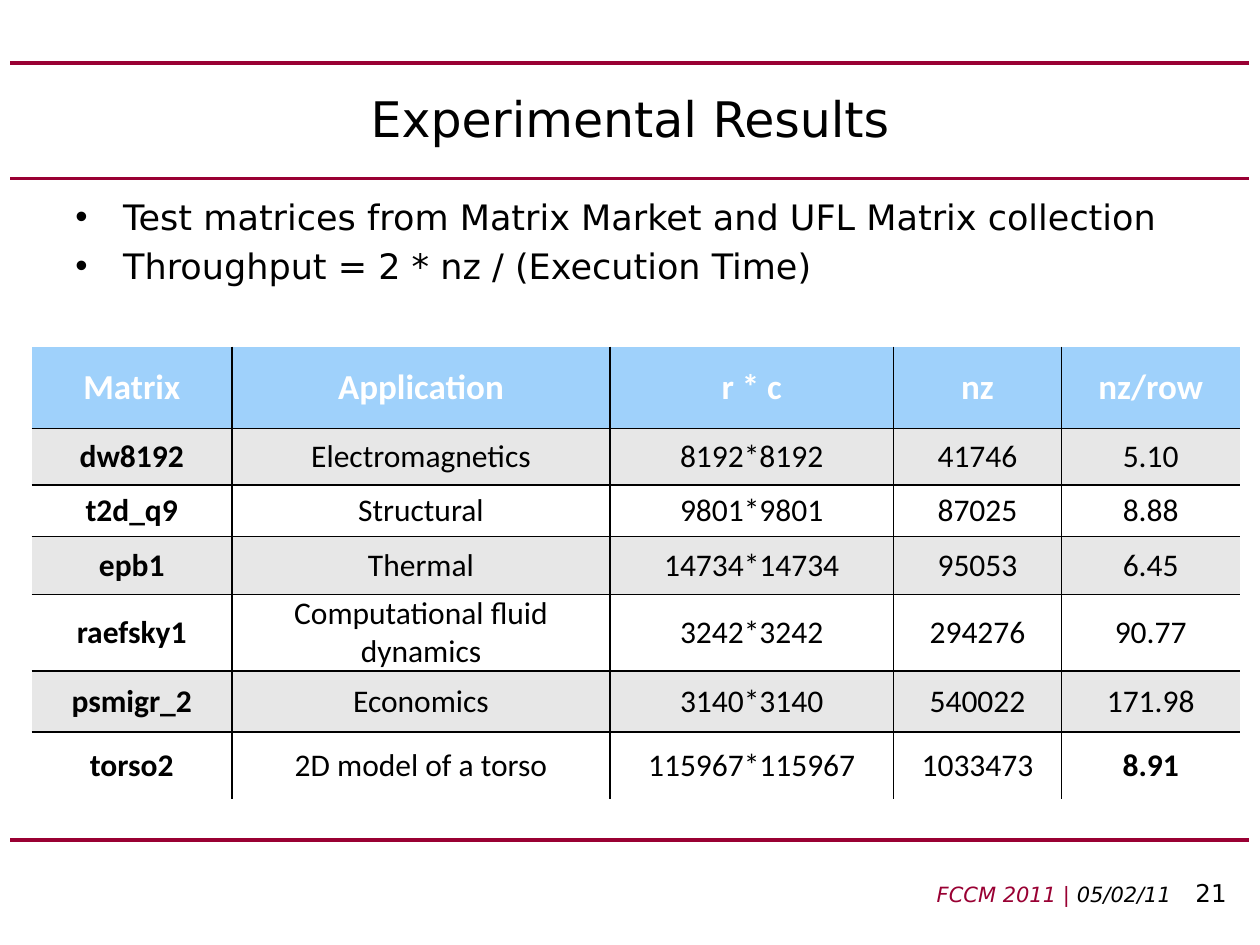
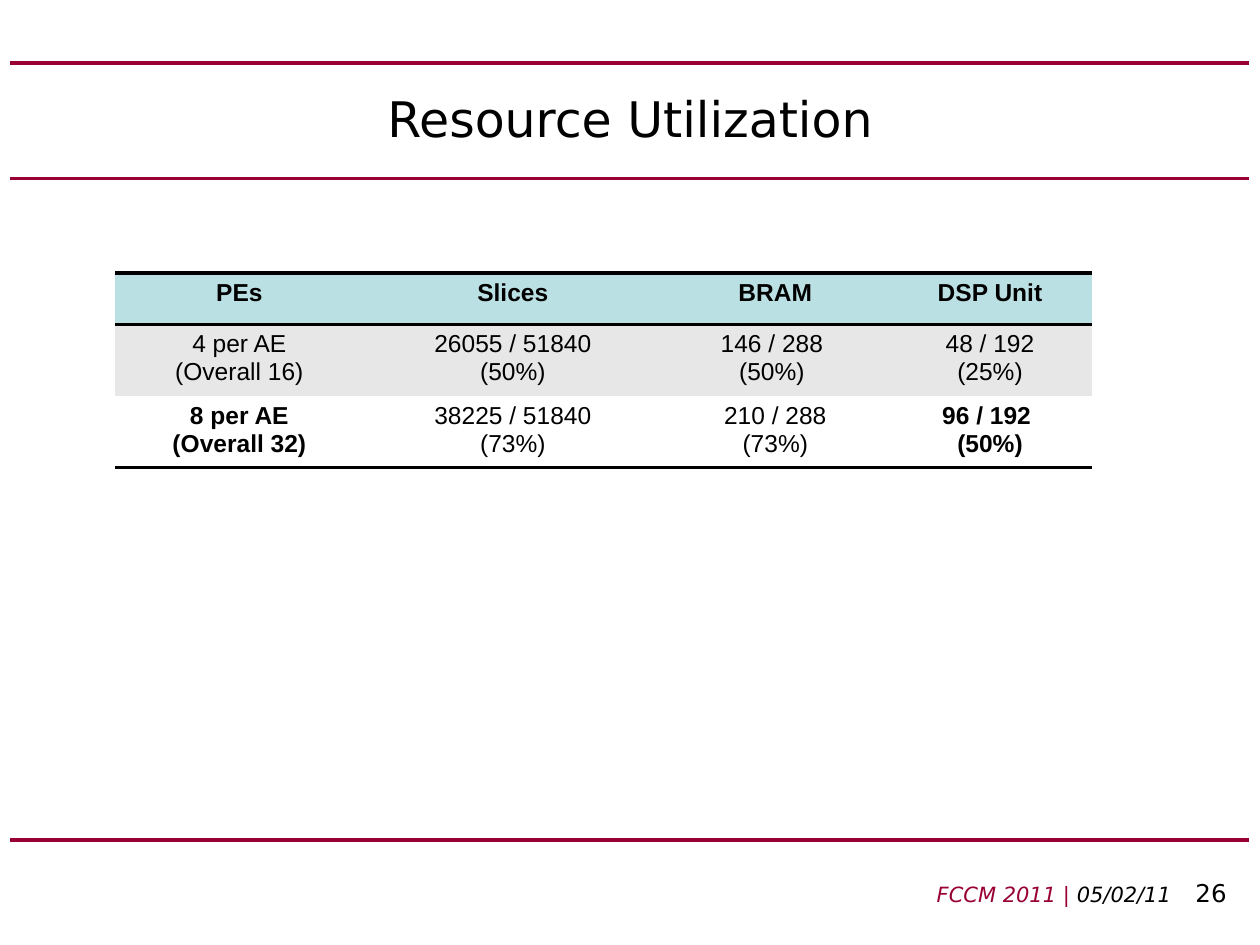
"""Build the results and resource slides of a sparse matrix talk."""
from lxml.etree import SubElement
from pptx import Presentation
from pptx.dml.color import RGBColor
from pptx.enum.shapes import MSO_CONNECTOR
from pptx.enum.text import MSO_ANCHOR, PP_ALIGN
from pptx.oxml import parse_xml
from pptx.oxml.ns import nsdecls, qn
from pptx.util import Inches, Pt

MAROON, BLACK, WHITE, GREY = "990033", "000000", "FFFFFF", "E7E7E7"
BODY_FONT = "DejaVu Sans"
RULE_ROWS = (80, 17, 6)

results = {
    "title": "Experimental Results",
    "number": "21",
    "bullets": ["Test matrices from Matrix Market and UFL Matrix collection",
                "Throughput = 2 * nz / (Execution Time)"],
    "left": 3, "top": 33,
    "columns": [19.1, 36, 27, 16, 17],
    "rows": [7.8, 5.4, 4.9, 5.5, 7.3, 5.8, 6.4],
    "cells": [
        ["Matrix", "Application", "r * c", "nz", "nz/row"],
        ["dw8192", "Electromagnetics", "8192*8192", "41746", "5.10"],
        ["t2d_q9", "Structural", "9801*9801", "87025", "8.88"],
        ["epb1", "Thermal", "14734*14734", "95053", "6.45"],
        ["raefsky1", "Computational fluid dynamics", "3242*3242", "294276", "90.77"],
        ["psmigr_2", "Economics", "3140*3140", "540022", "171.98"],
        ["torso2", "2D model of a torso", "115967*115967", "1033473", "8.91"],
    ],
    "font": "Calibri", "sizes": (20, 18),
    "header_fill": "9FD1FB", "header_ink": WHITE,
    "bold_labels": range(1, 7), "gridded": True,
}
resources = {
    "title": "Resource Utilization",
    "number": "26",
    "bullets": [],
    "left": 11, "top": 26,
    "columns": [23.6, 28.5, 21.5, 19.4],
    "rows": [4.9] * 3,
    "cells": [
        ["PEs", "Slices", "BRAM", "DSP Unit"],
        ["4 per AE\n(Overall 16)", "26055 / 51840\n(50%)",
         "146 / 288 \n(50%) ", "48 / 192\n(25%)"],
        ["8 per AE\n(Overall 32)", "38225 / 51840\n(73%)",
         "210 / 288\n(73%)", "96 / 192 \n(50%)"],
    ],
    "font": "Arial", "sizes": (14, 14),
    "header_fill": "BBE0E3", "header_ink": BLACK,
    "bold_labels": [2], "gridded": False,
}

deck = Presentation()
deck.slide_width, deck.slide_height = Inches(10), Inches(7.5)
unit = deck.slide_width // 120


def style(run, size, font=BODY_FONT, ink=BLACK, bold=False, italic=False):
    run.font.size, run.font.name = Pt(size), font
    run.font.bold, run.font.italic = bold, italic
    run.font.color.rgb = RGBColor.from_string(ink)


def add_text(slide, left, top, width, height):
    frame = slide.shapes.add_textbox(
        *(round(n * unit) for n in (left, top, width, height))).text_frame
    frame.word_wrap = True
    return frame


for content in (results, resources):
    slide = deck.slides.add_slide(deck.slide_layouts[6])

    for row in RULE_ROWS:
        rule = slide.shapes.add_connector(
            MSO_CONNECTOR.STRAIGHT, unit, row * unit, 119 * unit, row * unit)
        rule.line.color.rgb = RGBColor.from_string(MAROON)
        rule.line.width = Pt(2.25)
        SubElement(rule._element.spPr, qn("a:effectLst"))

    heading = add_text(slide, 6, 6, 108, 10.4)
    heading.vertical_anchor = MSO_ANCHOR.MIDDLE
    heading.text = content["title"]
    heading.paragraphs[0].alignment = PP_ALIGN.CENTER
    style(heading.paragraphs[0].runs[0], 28)

    if content["bullets"]:
        points = add_text(slide, 6, 18, 108, 14)
        points.text = "\n".join(content["bullets"])
        for point in points.paragraphs:
            point.space_before = Pt(4)
            properties = point._p.get_or_add_pPr()
            properties.set("marL", str(Inches(0.38)))
            properties.set("indent", str(-Inches(0.38)))
            SubElement(properties, qn("a:buFont")).set("typeface", "Arial")
            SubElement(properties, qn("a:buChar")).set("char", "•")
            style(point.runs[0], 20)

    widths, heights = content["columns"], content["rows"]
    table = slide.shapes.add_table(
        len(heights), len(widths), content["left"] * unit, content["top"] * unit,
        round(sum(widths) * unit), round(sum(heights) * unit)).table
    table.first_row = table.horz_banding = False
    for column, width in zip(table.columns, widths):
        column.width = round(width * unit)
    for row, height in zip(table.rows, heights):
        row.height = round(height * unit)

    last_row, last_column = len(heights) - 1, len(widths) - 1
    gridded = content["gridded"]
    for r, values in enumerate(content["cells"]):
        for c, value in enumerate(values):
            cell = table.cell(r, c)
            cell.text_frame.text = value
            if gridded:
                cell.vertical_anchor = MSO_ANCHOR.MIDDLE
                cell.margin_left = cell.margin_right = Inches(0.07)
                cell.margin_top = cell.margin_bottom = 0
                edges = {"L": c > 0, "R": c < last_column,
                         "T": r > 0, "B": r < last_row}
            else:
                edges = {"L": False, "R": False, "T": r < 2, "B": r != 1}
            for side, drawn in edges.items():
                paint = (f'<a:solidFill><a:srgbClr val="{BLACK}"/></a:solidFill>'
                         if drawn else "<a:noFill/>")
                cell._tc.get_or_add_tcPr().append(parse_xml(
                    f'<a:ln{side} {nsdecls("a")} w="{Pt(1 if gridded else 2)}">'
                    f"{paint}</a:ln{side}>"))
            header = r == 0
            band = content["header_fill"] if header else GREY if r % 2 else WHITE
            cell.fill.solid()
            cell.fill.fore_color.rgb = RGBColor.from_string(band)
            label = c == 0 and r in content["bold_labels"]
            final = (r, c) == (last_row, last_column)
            for line in cell.text_frame.paragraphs:
                line.alignment = PP_ALIGN.CENTER
                style(line.runs[0], content["sizes"][0 if header else 1],
                      content["font"], content["header_ink"] if header else BLACK,
                      bold=header or label or final)

    footer = add_text(slide, 37, 83, 81, 4).paragraphs[0]
    footer.alignment = PP_ALIGN.RIGHT
    for words, size, ink, italic in (("FCCM 2011 | ", 12, MAROON, True),
                                     ("05/02/11\t ", 12, BLACK, True),
                                     (content["number"], 14, BLACK, False)):
        run = footer.add_run()
        run.text = words
        style(run, size, ink=ink, italic=italic)

deck.save("out.pptx")
